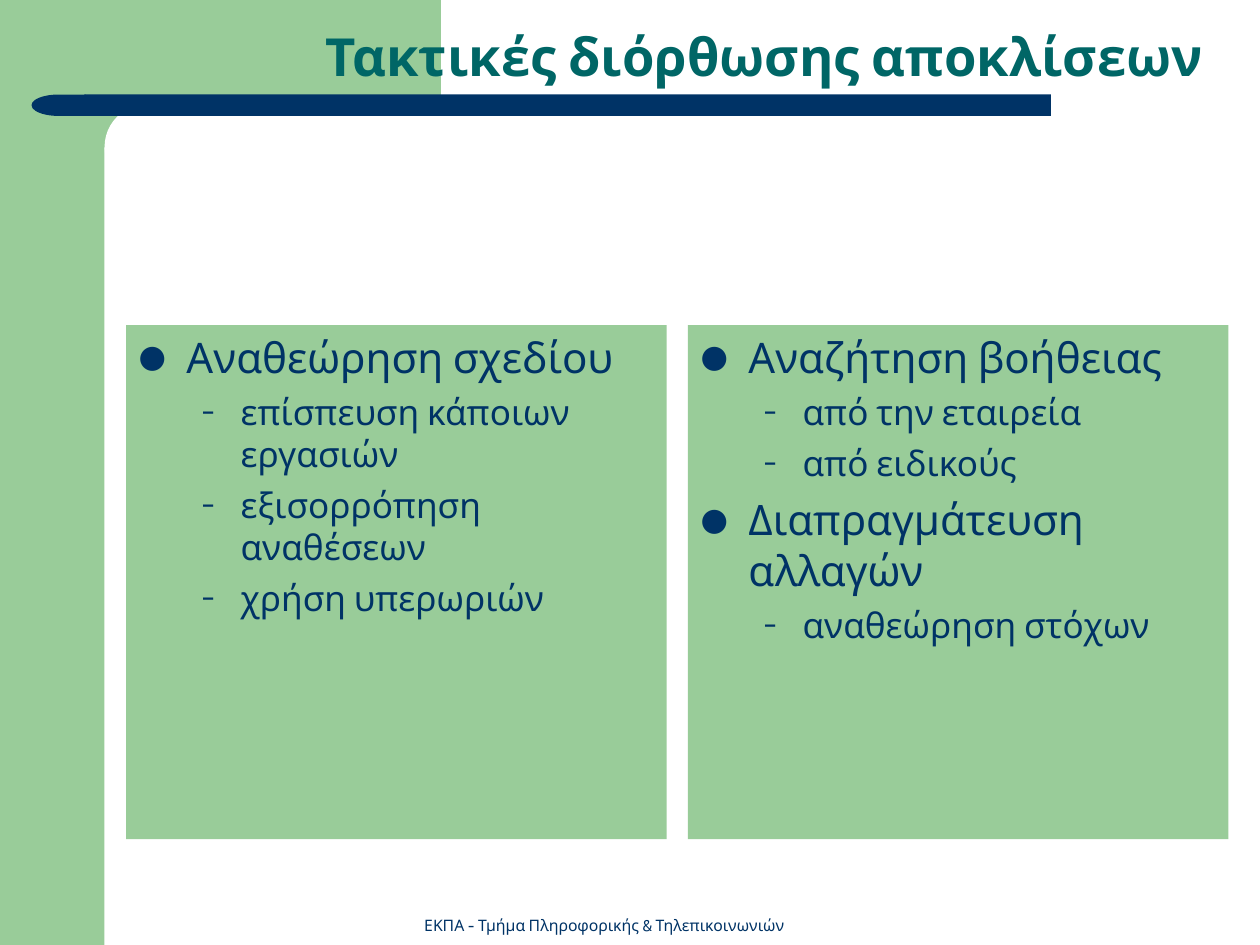
from lxml.etree import SubElement
from pptx import Presentation
from pptx.dml.color import RGBColor
from pptx.enum.shapes import MSO_SHAPE as Shape
from pptx.enum.text import MSO_ANCHOR as Anchor, MSO_AUTO_SIZE as Auto, PP_ALIGN as Align
from pptx.oxml.ns import qn
from pptx.util import Inches, Pt

FONT = "Cabin"
COLORS = {"green": "99CC99", "navy": "003366", "teal": "006666", "white": "FFFFFF"}
LEVELS = [
    {"size": 24, "left": 0.38, "hang": 0.38, "before": 6, "mark": "●"},
    {"size": 20, "left": 0.81, "hang": 0.31, "before": 5, "mark": "–"},
]
PANELS = [
    [
        (0, "Αναθεώρηση σχεδίου"),
        (1, "επίσπευση κάποιων εργασιών"),
        (1, "εξισορρόπηση αναθέσεων"),
        (1, "χρήση υπερωριών"),
    ],
    [
        (0, "Αναζήτηση βοήθειας"),
        (1, "από την εταιρεία"),
        (1, "από ειδικούς"),
        (0, "Διαπραγμάτευση αλλαγών"),
        (1, "αναθεώρηση στόχων"),
    ],
]


def color(name):
    return RGBColor.from_string(COLORS[name])


def place(shape, *box):
    shape.left, shape.top, shape.width, shape.height = map(Inches, box)


def paint(shape, name):
    shape.fill.solid()
    shape.fill.fore_color.rgb = color(name)


def style(para, size, name, bold=False):
    font = para.font
    font.name, font.size, font.bold = FONT, Pt(size), bold
    font.color.rgb = color(name)


def add_block(slide, kind, box, name, round_by=None):
    shape = slide.shapes.add_shape(kind, *map(Inches, box))
    shape.shadow.inherit = False
    paint(shape, name)
    shape.line.fill.background()
    if round_by is not None:
        shape.adjustments[0] = round_by
    return shape


def add_frame(slide):
    add_block(slide, Shape.RECTANGLE, (0, 0, 0.83, 7.5), "green")
    add_block(slide, Shape.RECTANGLE, (0.75, 0, 2.75, 1.17), "green")
    add_block(slide, Shape.ROUNDED_RECTANGLE, (0.83, 0.83, 5.58, 0.67), "white", 0.5)
    add_block(slide, Shape.RECTANGLE, (0.67, 0.75, 7.67, 0.17), "navy")
    cap = add_block(slide, Shape.FLOWCHART_DELAY, (0.25, 0.75, 0.43, 0.17), "navy")
    cap.rotation = 180


def add_footer(slide, text):
    box = slide.shapes.add_textbox(*map(Inches, (3.21, 7.22, 3.17, 0.25)))
    frame = box.text_frame
    frame.word_wrap = True
    frame.vertical_anchor = Anchor.BOTTOM
    para = frame.paragraphs[0]
    para.text = text
    para.alignment = Align.CENTER
    style(para, 9, "navy")


def set_title(title, text):
    place(title, 0.33, 0.25, 9.42, 0.5)
    frame = title.text_frame
    frame.auto_size = Auto.NONE
    frame.vertical_anchor = Anchor.BOTTOM
    para = frame.paragraphs[0]
    para.text = text
    para.alignment = Align.RIGHT
    para.line_spacing = 0.9
    style(para, 30, "teal", True)


def add_bullet(para, level):
    props = para._p.get_or_add_pPr()
    props.set("marL", str(Inches(level["left"])))
    props.set("indent", str(-Inches(level["hang"])))
    tint = SubElement(props, qn("a:buClr"))
    SubElement(tint, qn("a:srgbClr"), val=COLORS["navy"])
    SubElement(props, qn("a:buSzPct"), val="75000")
    SubElement(props, qn("a:buFont"), typeface=FONT)
    SubElement(props, qn("a:buChar"), char=level["mark"])


def fill_panel(panel, left, items):
    place(panel, left, 2.58, 4.29, 4.08)
    paint(panel, "green")
    frame = panel.text_frame
    frame.auto_size = Auto.NONE
    for i, (depth, text) in enumerate(items):
        para = frame.add_paragraph() if i else frame.paragraphs[0]
        level = LEVELS[depth]
        para.text = text
        para.level = depth
        para.space_before = Pt(level["before"] if i else 0)
        add_bullet(para, level)
        style(para, level["size"], "navy")


def main():
    deck = Presentation()
    deck.slide_width, deck.slide_height = Inches(10), Inches(7.5)
    slide = deck.slides.add_slide(deck.slide_layouts[3])
    holders = list(slide.placeholders)
    title, *panels = holders
    add_frame(slide)
    add_footer(slide, "ΕΚΠΑ - Τμήμα Πληροφορικής & Τηλεπικοινωνιών")
    set_title(title, "Τακτικές διόρθωσης αποκλίσεων ")
    for i, (panel, items) in enumerate(zip(panels, PANELS)):
        fill_panel(panel, 1 + i * 4.46, items)
    for holder in holders:
        slide.shapes._spTree.append(holder._element)
    deck.save("out.pptx")


if __name__ == "__main__":
    main()
